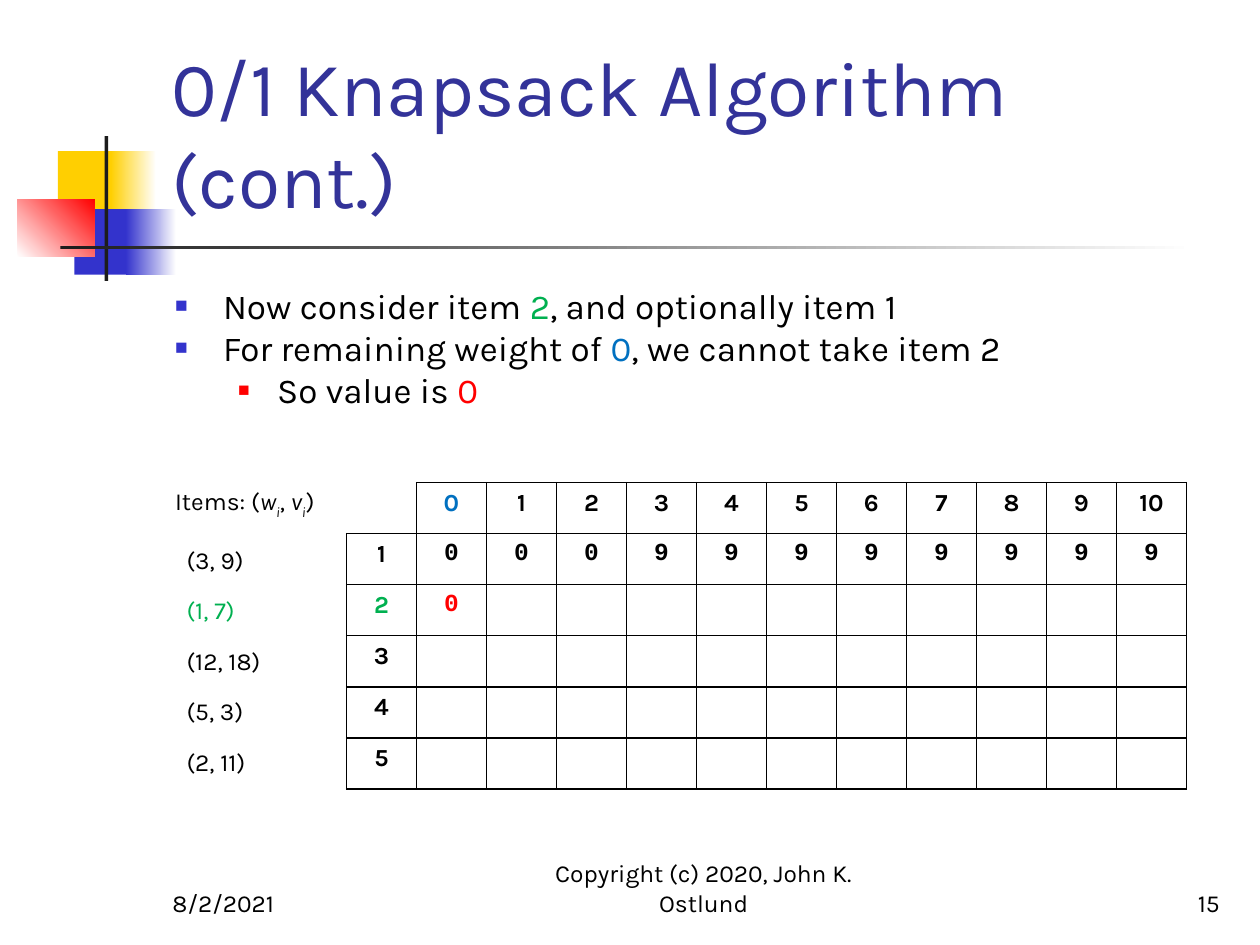
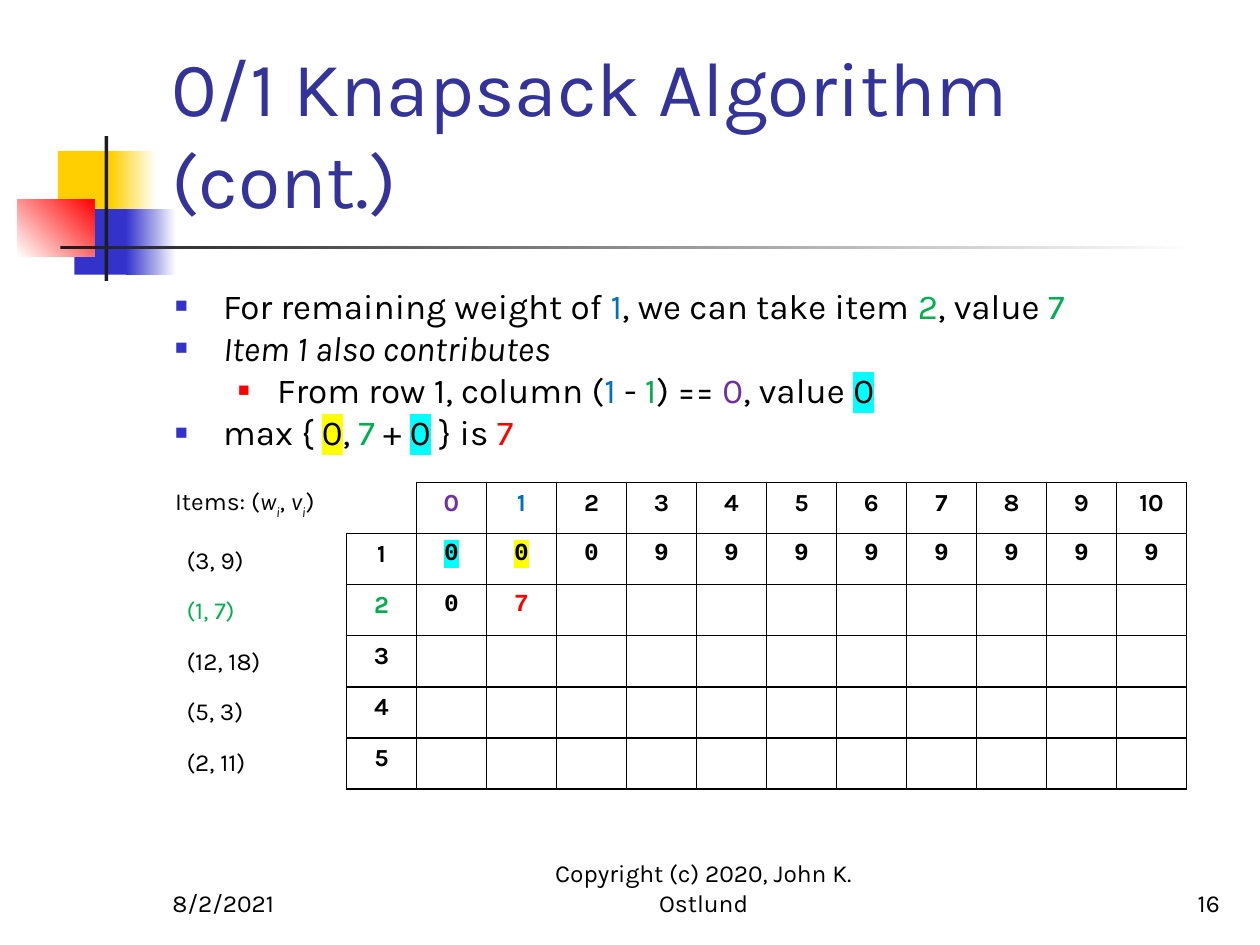
"""Build two slides of the 0/1 knapsack walkthrough."""
from dataclasses import dataclass

from lxml.etree import SubElement
from pptx import Presentation
from pptx.dml.color import RGBColor
from pptx.enum.shapes import MSO_SHAPE
from pptx.enum.text import MSO_ANCHOR as Anchor, MSO_AUTO_SIZE as AutoSize, PP_ALIGN as Align
from pptx.oxml.ns import qn
from pptx.util import Inches, Pt

BLACK = RGBColor(0x00, 0x00, 0x00)
WHITE = RGBColor(0xFF, 0xFF, 0xFF)
CHARCOAL = RGBColor(0x1C, 0x1C, 0x1C)
NAVY = RGBColor(0x33, 0x33, 0x99)
INDIGO = RGBColor(0x33, 0x33, 0xCC)
GOLD = RGBColor(0xFF, 0xCF, 0x01)
RED = RGBColor(0xFF, 0x00, 0x00)
GREEN = RGBColor(0x00, 0xB0, 0x50)
BLUE = RGBColor(0x00, 0x70, 0xC0)
PURPLE = RGBColor(0x70, 0x30, 0xA0)
CYAN = RGBColor(0x00, 0xFF, 0xFF)
YELLOW = RGBColor(0xFF, 0xFF, 0x00)

SANS, MONO = "Karla", "Courier New"
TITLE_BOX = (1.26, 0.23, 8.52, 1.6)
BODY_BOX = (1.29, 2.21, 8.5, 4.5)
TABLE_BOX = (2.75, 3.83, 6.67, 2.43)
DATE_BOX = (1.27, 6.83, 2.08, 0.5)
COPYRIGHT_BOX = (4, 6.83, 3.17, 0.5)
NUMBER_BOX = (7.7, 6.83, 2.08, 0.5)

EMBLEM = [
    ((0.46, 1.2, 0.48, 0.52), [GOLD], 0),
    ((0.88, 1.2, 0.36, 0.52), [GOLD, WHITE], 0),
    ((0.59, 1.66, 0.46, 0.52), [INDIGO], 0),
    ((1, 1.66, 0.4, 0.52), [INDIGO, WHITE], 0),
    ((0.14, 1.58, 0.61, 0.46), [WHITE, RED], 45),
    ((0.83, 1.08, 0.03, 1.15), [CHARCOAL], 0),
    ((0.48, 1.95, 9, 0.03), [CHARCOAL, WHITE], 0),
]
BULLETS = [(0.38, -0.38, INDIGO, 60), (0.81, -0.31, RED, 55)]
BULLET_ROWS = 4
ITEMS = ["(3, 9)", "(1, 7)", "(12, 18)", "(5, 3)", "(2, 11)"]
CAPACITIES = range(11)
CURRENT_ITEM = 2


@dataclass
class Span:
    """A stretch of text with its own look."""
    text: str
    color: RGBColor = BLACK
    highlight: RGBColor = None
    italic: bool = False
    subscript: bool = False


ITEMS_LABEL = [
    Span("Items: ("), Span("w", italic=True), Span("i", italic=True, subscript=True),
    Span(", "), Span("v", italic=True), Span("i", italic=True, subscript=True), Span(")"),
]


def place(shape, box):
    """Move a shape to a box given in inches."""
    shape.left, shape.top, shape.width, shape.height = map(Inches, box)


def add_color(parent, tag, color):
    """Append an element holding one RGB colour."""
    SubElement(SubElement(parent, qn(tag)), qn("a:srgbClr")).set("val", str(color))


def write(para, spans, size, font=SANS, align=Align.LEFT, bold=False):
    """Fill a paragraph with spans in one font and size."""
    para.alignment = align
    para.font.name, para.font.size, para.font.bold = font, Pt(size), bold
    para.font.color.rgb = BLACK
    for span in spans:
        run = para.add_run()
        run.text = span.text
        if span.color != BLACK:
            run.font.color.rgb = span.color
        if span.italic:
            run.font.italic = True
        if span.subscript:
            run.font._element.set("baseline", "-25000")
        if span.highlight:
            add_color(run.font._element, "a:highlight", span.highlight)


def set_frame(frame, anchor):
    """Give a text frame wrapping, a fixed size and an anchor."""
    frame.word_wrap = True
    frame.auto_size = AutoSize.NONE
    frame.vertical_anchor = anchor


def set_indent(para, left, first=0, color=None, percent=None):
    """Indent a paragraph and give it a square bullet or none."""
    props = para._p.get_or_add_pPr()
    props.set("marL", str(Inches(left)))
    props.set("indent", str(Inches(first)))
    if color is None:
        SubElement(props, qn("a:buNone"))
        return
    add_color(props, "a:buClr", color)
    SubElement(props, qn("a:buSzPct")).set("val", str(percent * 1000))
    SubElement(props, qn("a:buChar")).set("char", "■")


def add_emblem(page):
    """Draw the squares and rules, then hand them to the page's layout."""
    tree = page.slide_layout.shapes.element
    for number, (box, colors, angle) in enumerate(EMBLEM, 20):
        shape = page.shapes.add_shape(MSO_SHAPE.RECTANGLE, *map(Inches, box))
        shape.shadow.inherit = False
        shape.line.fill.background()
        if len(colors) == 1:
            shape.fill.solid()
            shape.fill.fore_color.rgb = colors[0]
        else:
            shape.fill.gradient()
            shape.fill.gradient_angle = angle
            for stop, color in zip(shape.fill.gradient_stops, colors):
                stop.color.rgb = color
        shape.element.nvSpPr.cNvPr.set("id", str(number))
        tree.append(shape.element)


def add_title(page, box):
    """Place and fill the title."""
    title = page.shapes.title
    place(title, box)
    set_frame(title.text_frame, Anchor.BOTTOM)
    write(title.text_frame.paragraphs[0], [Span("0/1 Knapsack Algorithm (cont.)", NAVY)], 44)


def add_body(page, box, bullets):
    """Fill the body with the bullets and the list of items."""
    body = page.placeholders[1]
    place(body, box)
    frame = body.text_frame
    set_frame(frame, Anchor.TOP)
    for index, (level, spans) in enumerate(bullets):
        para = frame.add_paragraph() if index else frame.paragraphs[0]
        para.level = level
        para.space_before = Pt(0)
        set_indent(para, *BULLETS[level])
        write(para, spans, 20)
    label_gap = 19.2 + 24 * (BULLET_ROWS - len(bullets))
    lines = [(ITEMS_LABEL, 0, label_gap)]
    for number, item in enumerate(ITEMS, 1):
        color = GREEN if number == CURRENT_ITEM else BLACK
        lines.append(([Span(item, color)], 0.09, 14.4 if number == 1 else 12))
    for spans, left, gap in lines:
        para = frame.add_paragraph()
        para.space_before = Pt(gap)
        set_indent(para, left)
        write(para, spans, 14)


def set_borders(cell, visible):
    """Draw the named sides of a cell and leave the others open."""
    props = cell._tc.get_or_add_tcPr()
    for side in "LRTB":
        line = SubElement(props, qn(f"a:ln{side}"), w=str(Pt(1)))
        if side in visible:
            add_color(line, "a:solidFill", BLACK)
        else:
            SubElement(line, qn("a:noFill"))


def add_value_table(page, box, marks):
    """Add the grid of items by weight, with marked cells replacing plain ones."""
    spans = {(0, weight + 1): Span(str(weight)) for weight in CAPACITIES}
    spans |= {(1, weight + 1): Span("0" if weight < 3 else "9") for weight in CAPACITIES}
    spans |= {(number, 0): Span(str(number)) for number in range(1, len(ITEMS) + 1)}
    spans[CURRENT_ITEM, 0] = Span(str(CURRENT_ITEM), GREEN)
    spans |= marks
    rows, columns = len(ITEMS) + 1, len(CAPACITIES) + 1
    table = page.shapes.add_table(rows, columns, *map(Inches, box)).table
    table.first_row = table.horz_banding = False
    for row in range(rows):
        for column in range(columns):
            cell = table.cell(row, column)
            set_borders(cell, "LRTB" if row or column else "RB")
            cell.fill.background()
            if (row, column) in spans:
                font = MONO if row and column else SANS
                write(cell.text_frame.paragraphs[0], [spans[row, column]], 14, font,
                      Align.CENTER, bold=True)


def add_footer(page, number):
    """Add the date, the copyright line and the page number."""
    for box, text, align in [
        (DATE_BOX, "8/2/2021", Align.LEFT),
        (COPYRIGHT_BOX, "Copyright (c) 2020, John K. Ostlund", Align.CENTER),
        (NUMBER_BOX, str(number), Align.RIGHT),
    ]:
        frame = page.shapes.add_textbox(*map(Inches, box)).text_frame
        set_frame(frame, Anchor.BOTTOM)
        write(frame.paragraphs[0], [Span(text)], 14, align=align)


def add_page(deck, number, bullets, marks):
    """Add one step of the walkthrough."""
    page = deck.slides.add_slide(deck.slide_layouts[1])
    add_title(page, TITLE_BOX)
    add_body(page, BODY_BOX, bullets)
    add_footer(page, number)
    add_value_table(page, TABLE_BOX, marks)
    return page


def main():
    """Build and save the deck."""
    deck = Presentation()
    deck.slide_width, deck.slide_height = Inches(10), Inches(7.5)
    weight_zero = add_page(deck, 15, [
        (0, [Span("Now consider item "), Span("2", GREEN), Span(", and optionally item 1")]),
        (0, [Span("For remaining weight of "), Span("0", BLUE),
             Span(", we cannot take item 2")]),
        (1, [Span("So value is "), Span("0", RED)]),
    ], {(0, 1): Span("0", BLUE), (2, 1): Span("0", RED)})
    add_emblem(weight_zero)
    add_page(deck, 16, [
        (0, [Span("For remaining weight of "), Span("1", BLUE), Span(", we can take item "),
             Span("2", GREEN), Span(", value "), Span("7", GREEN)]),
        (0, [Span("Item 1 also contributes", italic=True)]),
        (1, [Span("From row 1, column ("), Span("1", BLUE), Span(" - "), Span("1", GREEN),
             Span(") == "), Span("0", PURPLE), Span(", value "), Span("0", highlight=CYAN)]),
        (0, [Span("max { "), Span("0", highlight=YELLOW), Span(", "), Span("7", GREEN),
             Span(" + "), Span("0", highlight=CYAN), Span(" } is "), Span("7", RED)]),
    ], {
        (0, 1): Span("0", PURPLE), (0, 2): Span("1", BLUE),
        (1, 1): Span("0", highlight=CYAN), (1, 2): Span("0", highlight=YELLOW),
        (2, 1): Span("0"), (2, 2): Span("7", RED),
    })
    deck.save("out.pptx")


if __name__ == "__main__":
    main()
